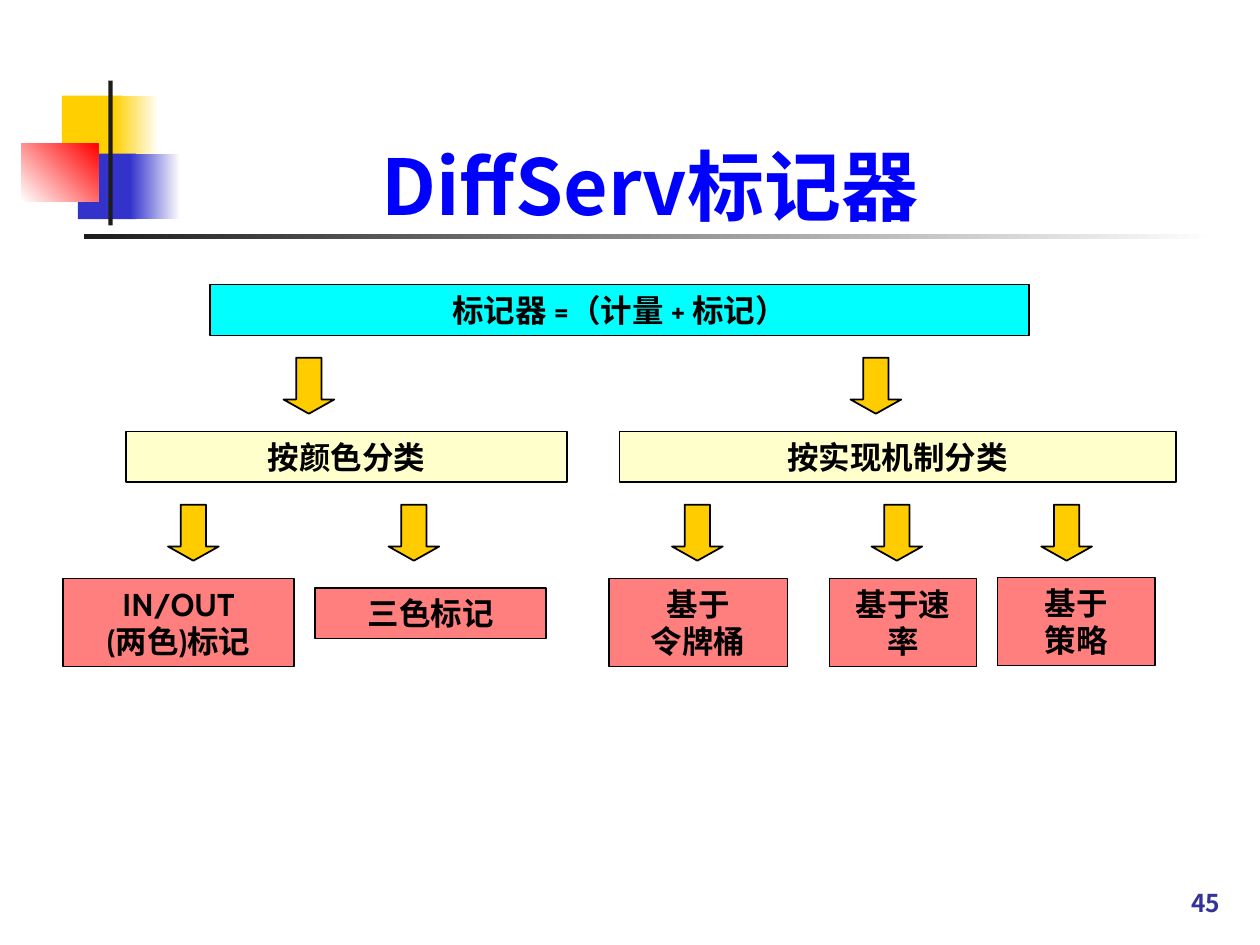
from dataclasses import dataclass

from lxml import etree
from pptx import Presentation
from pptx.dml.color import RGBColor
from pptx.enum.shapes import MSO_SHAPE
from pptx.enum.text import MSO_ANCHOR, PP_ALIGN
from pptx.oxml.ns import qn
from pptx.util import Pt

RECT, ARROW = MSO_SHAPE.RECTANGLE, MSO_SHAPE.DOWN_ARROW
TOP, BOTTOM = MSO_ANCHOR.TOP, MSO_ANCHOR.BOTTOM
CENTER, RIGHT = PP_ALIGN.CENTER, PP_ALIGN.RIGHT


@dataclass(frozen=True)
class Theme:
    latin: str = "Cabin"
    asian: str = "Noto Sans CJK JP"
    title: str = "0000FF"
    number: str = "333399"
    ink: str = "000000"
    dark: str = "1C1C1C"
    white: str = "FFFFFF"
    gold: str = "FFCF01"
    blue: str = "3333CC"
    red: str = "FF0000"
    cyan: str = "00FFFF"
    cream: str = "FFFF99"
    arrow: str = "FFCC00"
    title_size: int = 44
    body_size: int = 18
    num_size: int = 14


THEME = Theme()

# left, top, width, height, first colour, last colour, angle
DECOR = [
    (35.3, 54.7, 34.6, 37.4, THEME.gold, None, 0),
    (64.8, 54.7, 26, 37.4, THEME.gold, THEME.white, 0),
    (44.6, 87.8, 33.1, 37.4, THEME.blue, None, 0),
    (74.2, 87.8, 28.8, 37.4, THEME.blue, THEME.white, 0),
    (12.2, 82, 44, 33.1, THEME.white, THEME.red, 45),
    (61.9, 46, 2.5, 82.8, THEME.dark, None, 0),
    (48, 133.9, 648, 2.5, THEME.dark, THEME.white, 0),
]

# left, top, width, lines, colour, opacity in percent
BOXES = [
    (120, 162.6, 468, ["标记器 =（计量 + 标记）"], THEME.cyan, 100),
    (72, 246.5, 252, ["按颜色分类"], THEME.cream, 50),
    (354, 246.5, 318, ["按实现机制分类"], THEME.cream, 50),
    (36, 330.5, 132, ["IN/OUT", "(两色)标记"], THEME.red, 50),
    (180, 336, 132, ["三色标记"], THEME.red, 50),
    (348, 330.5, 102, ["基于", "令牌桶"], THEME.red, 50),
    (474, 330.5, 84, ["基于速率"], THEME.red, 50),
    (570, 330, 90, ["基于", "策略"], THEME.red, 50),
]
ONE_LINE, TWO_LINES = 29, 50.5
TALL = {"IN/OUT", "基于", "基于速率"}

# top of each arrow row, with the left edges in it
ARROWS = {204.4: [162, 486], 288.4: [96, 222, 384, 498, 595]}


def rgb(code):
    return RGBColor.from_string(code)


def apply(item, values):
    for name, value in values.items():
        setattr(item, name, value)


def add_form(slide, kind, place, color, line=None):
    form = slide.shapes.add_shape(kind, *map(Pt, place))
    form.shadow.inherit = False
    form.fill.solid()
    form.fill.fore_color.rgb = rgb(color)
    if line:
        form.line.color.rgb = rgb(THEME.ink)
        form.line.width = Pt(line)
    else:
        form.line.fill.background()
    return form


def fade(form, first, last, angle):
    form.fill.gradient()
    form.fill.gradient_angle = angle
    for stop, color in zip(form.fill.gradient_stops, (first, last)):
        stop.color.rgb = rgb(color)


def set_alpha(form, percent):
    color = form.fill._xPr.find(qn("a:solidFill"))[0]
    etree.SubElement(color, qn("a:alpha"), val=str(percent * 1000))


def write(form, lines, size, color, font, align=CENTER, anchor=TOP):
    frame = form.text_frame
    apply(frame, {"word_wrap": True, "vertical_anchor": anchor})
    frame.text = "\n".join(lines)
    for para in frame.paragraphs:
        para.alignment = align
        for run in para.runs:
            apply(run.font, {"size": Pt(size), "bold": True, "name": font})
            run.font.color.rgb = rgb(color)
            asian = etree.SubElement(run.font._element, qn("a:ea"))
            asian.set("typeface", THEME.asian)


def add_label(slide, place, text, size, color, align):
    label = slide.shapes.add_textbox(*map(Pt, place))
    write(label, [text], size, color, THEME.asian, align, BOTTOM)


def add_decor(slide):
    for *place, first, last, angle in DECOR:
        form = add_form(slide, RECT, place, first)
        if last:
            fade(form, first, last, angle)


def add_boxes(slide):
    for left, top, width, lines, color, alpha in BOXES:
        height = TWO_LINES if lines[0] in TALL else ONE_LINE
        box = add_form(slide, RECT, (left, top, width, height), color, 0.75)
        if alpha < 100:
            set_alpha(box, alpha)
        write(box, lines, THEME.body_size, THEME.ink, THEME.latin)


def add_arrows(slide):
    for top, lefts in ARROWS.items():
        for left in lefts:
            arrow = add_form(slide, ARROW, (left, top, 29, 32), THEME.arrow, 1)
            arrow.adjustments[0] = 0.5
            arrow.adjustments[1] = 0.28


def main():
    deck = Presentation()
    apply(deck, {"slide_width": Pt(720), "slide_height": Pt(540)})
    slide = deck.slides.add_slide(deck.slide_layouts[6])
    add_decor(slide)
    add_label(slide, (64.8, 20.2, 613.4, 115.2), "DiffServ标记器",
              THEME.title_size, THEME.title, CENTER)
    add_label(slide, (554.4, 491.8, 149.8, 36), "45",
              THEME.num_size, THEME.number, RIGHT)
    add_boxes(slide)
    add_arrows(slide)
    deck.save("out.pptx")


if __name__ == "__main__":
    main()
